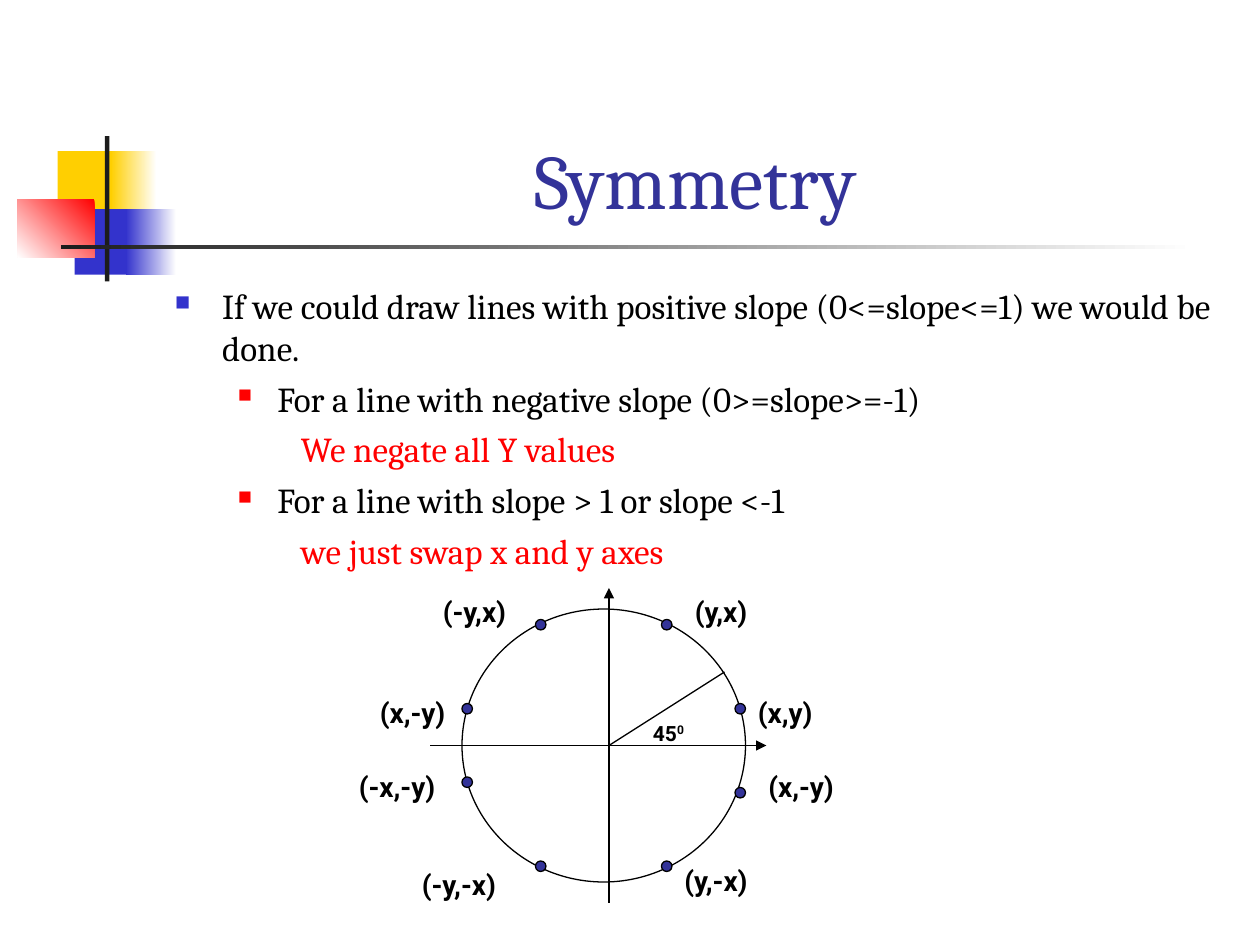
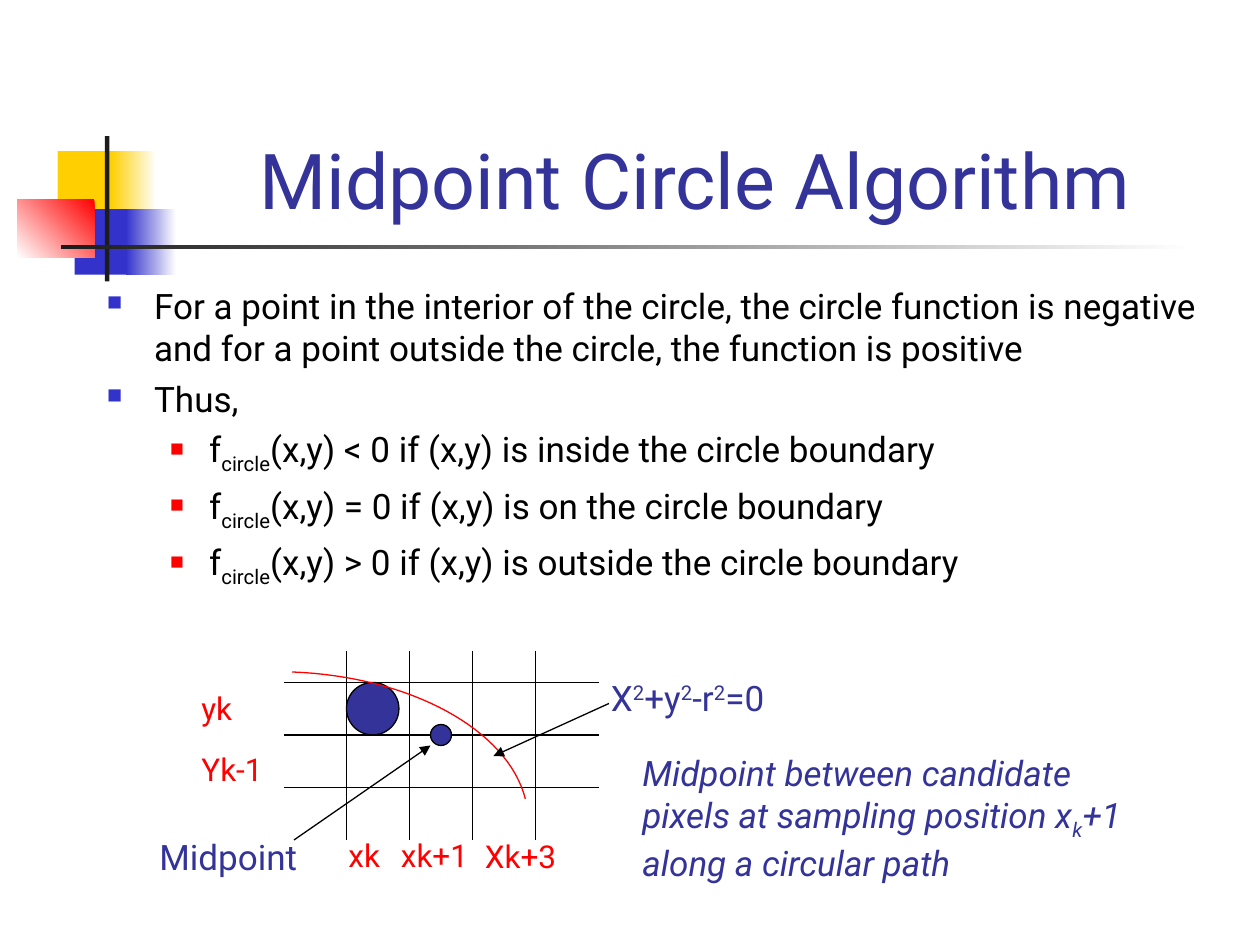
from lxml import etree
from pptx import Presentation
from pptx.dml.color import RGBColor
from pptx.enum.shapes import MSO_CONNECTOR, MSO_SHAPE
from pptx.enum.text import MSO_ANCHOR, MSO_AUTO_SIZE, PP_ALIGN
from pptx.oxml.ns import qn
from pptx.util import Pt

RECT, OVAL, DOT = MSO_SHAPE.RECTANGLE, MSO_SHAPE.OVAL, MSO_SHAPE.FLOWCHART_CONNECTOR
STRAIGHT = MSO_CONNECTOR.STRAIGHT
TOP, BOTTOM = MSO_ANCHOR.TOP, MSO_ANCHOR.BOTTOM
LEFT, CENTER = PP_ALIGN.LEFT, PP_ALIGN.CENTER
FIT_TEXT, FIXED = MSO_AUTO_SIZE.SHAPE_TO_FIT_TEXT, MSO_AUTO_SIZE.NONE

BLACK = RGBColor(0, 0, 0)
WHITE = RGBColor(0xFF, 0xFF, 0xFF)
RED = RGBColor(0xFF, 0, 0)
YELLOW = RGBColor(0xFF, 0xCF, 0x01)
BLUE = RGBColor(0x33, 0x33, 0xCC)
NAVY = RGBColor(0x33, 0x33, 0x99)
CHARCOAL = RGBColor(0x1C, 0x1C, 0x1C)

SERIF, SANS = "Cambria", "Roboto"
HAIRLINE = 0.75
SUB, SUPER = -25, 30

TITLE_BOX = (90.7, 16.6, 613.4, 115.2)
# Level: left margin, first-line indent, bullet colour, bullet size in percent
LEVELS = [(27, -27, BLUE, 60), (58.5, -22.5, RED, 55), (90, -18, None, None)]


def set_format(target, values):
    for attribute, value in values.items():
        setattr(target, attribute, value)


def paint(shape, fill=None, line=None):
    shape.shadow.inherit = False
    if fill is None:
        shape.fill.background()
    else:
        shape.fill.solid()
        shape.fill.fore_color.rgb = fill
    if line is None:
        shape.line.fill.background()
    else:
        shape.line.color.rgb = line
        shape.line.width = Pt(HAIRLINE)


def add_preset(slide, preset, box, fill=None, line=None):
    shape = slide.shapes.add_shape(preset, *map(Pt, box))
    paint(shape, fill, line)
    return shape


def add_gradient(slide, box, colours, angle):
    """Draw a rectangle fading between two colours; angle is counter-clockwise."""
    shape = add_preset(slide, RECT, box)
    shape.fill.gradient()
    shape.fill.gradient_angle = angle
    for stop, colour in zip(shape.fill.gradient_stops, colours):
        stop.color.rgb = colour


def add_line(slide, start, end, arrow=False):
    line = slide.shapes.add_connector(STRAIGHT, *map(Pt, (*start, *end)))
    line.line.color.rgb = BLACK
    line.line.width = Pt(HAIRLINE)
    if arrow:
        etree.SubElement(line.line._get_or_add_ln(), qn("a:tailEnd"), type="triangle")
    etree.SubElement(line._element.spPr, qn("a:effectLst"))


def add_runs(paragraph, content, colour, font):
    """Content is a string, or a list of strings and (string, baseline) pairs."""
    for part in [content] if isinstance(content, str) else content:
        text, baseline = (part, 0) if isinstance(part, str) else part
        run = paragraph.add_run()
        run.text = text
        set_format(run.font, font)
        run.font.color.rgb = colour
        if baseline:
            run._r.get_or_add_rPr().set("baseline", str(baseline * 1000))


def add_frame(slide, box, anchor=TOP, auto_size=FIXED):
    frame = slide.shapes.add_textbox(*map(Pt, box)).text_frame
    set_format(frame, {"word_wrap": True, "vertical_anchor": anchor, "auto_size": auto_size})
    return frame


def add_label(slide, place, width, content, colour, size, **style):
    frame = add_frame(slide, (*place, width, 1.2 * size + 7.2), auto_size=FIT_TEXT)
    font = {"name": SANS, "size": Pt(size), **style}
    add_runs(frame.paragraphs[0], content, colour, font)


def add_emblem(slide, left, top):
    """Coloured squares with the crossing bars that mark the title line."""
    def at(x, y, width, height):
        return left + x, top + y, width, height

    add_preset(slide, RECT, at(23, 8.5, 35, 37.4), YELLOW)
    add_gradient(slide, at(53.4, 8.5, 26, 37.4), (WHITE, YELLOW), 180)
    add_preset(slide, RECT, at(32.7, 41.7, 33, 37.4), BLUE)
    add_gradient(slide, at(62, 41.7, 28.8, 37.4), (WHITE, BLUE), 180)
    add_gradient(slide, at(0, 36, 44, 33.3), (RED, WHITE), 225)
    add_preset(slide, RECT, at(50, 0, 2.5, 83), CHARCOAL)
    add_gradient(slide, at(24.8, 62.2, 648, 2.5), (WHITE, CHARCOAL), 180)


def add_title(slide, title, font_name):
    title_line = add_frame(slide, TITLE_BOX, BOTTOM).paragraphs[0]
    title_line.alignment = CENTER
    add_runs(title_line, title, NAVY, {"name": font_name, "size": Pt(44)})


def set_level(paragraph, level):
    margin, indent, colour, percent = LEVELS[level]
    properties = paragraph._p.get_or_add_pPr()
    properties.set("marL", str(Pt(margin)))
    properties.set("indent", str(Pt(indent)))
    if colour is None:
        etree.SubElement(properties, qn("a:buNone"))
    else:
        bullet_colour = etree.SubElement(properties, qn("a:buClr"))
        etree.SubElement(bullet_colour, qn("a:srgbClr"), val=str(colour))
        etree.SubElement(properties, qn("a:buSzPct"), val=str(percent * 1000))
        etree.SubElement(properties, qn("a:buChar"), char="■")
    set_format(paragraph, {"level": level, "alignment": LEFT})


def add_body(slide, box, points, font_name):
    """Points are (level, content); the third level is a red remark."""
    frame = add_frame(slide, box)
    for number, (level, content) in enumerate(points):
        paragraph = frame.add_paragraph() if number else frame.paragraphs[0]
        set_level(paragraph, level)
        if number:
            paragraph.space_before = Pt(5)
        colour = RED if level == 2 else BLACK
        add_runs(paragraph, content, colour, {"name": font_name, "size": Pt(20)})


def add_content_slide(deck, title, body_box, points, font_name):
    slide = deck.slides.add_slide(deck.slide_layouts[6])
    add_emblem(slide, 10, 77.8)
    add_title(slide, title, font_name)
    add_body(slide, body_box, points, font_name)
    return slide


def add_symmetry_diagram(slide, left, top, width, height):
    """Circle with eight mirrored points; the axes span the box."""
    def at(x, y):
        return left + x, top + y

    origin_x, origin_y = 102, height / 2
    add_preset(slide, OVAL, (*at(18, 12), 162, 156), line=BLACK)
    add_line(slide, at(origin_x, height), at(origin_x, 0), arrow=True)
    add_line(slide, at(0, origin_y), at(width, origin_y), arrow=True)
    add_line(slide, at(origin_x, origin_y), at(168, 48))
    add_label(slide, at(120, 72), 48, ["45", ("0", SUPER)], BLACK, 12, bold=True)

    mirrored_points = [
        ("(y,x)", (132, 18), (144, 0)),
        ("(x,y)", (174, 66), (180, 58)),
        ("(x,-y)", (174, 114), (186, 100)),
        ("(y,-x)", (132, 156), (138, 154)),
        ("(-y,x)", (60, 18), (0, 0)),
        ("(x,-y)", (18, 66), (-36, 58)),
        ("(-x,-y)", (18, 108), (-48, 100)),
        ("(-y,-x)", (60, 156), (-12, 156)),
    ]
    for coordinates, dot, label in mirrored_points:
        add_preset(slide, DOT, (*at(*dot), 6, 6), NAVY, BLACK)
        add_label(slide, at(*label), 108, coordinates, BLACK, 16, bold=True)


def bezier(controls, steps=32):
    """Points along a cubic curve."""
    for step in range(steps + 1):
        t = step / steps
        weights = ((1 - t) ** 3, 3 * t * (1 - t) ** 2, 3 * t * t * (1 - t), t ** 3)
        yield tuple(sum(w * c for w, c in zip(weights, axis)) for axis in zip(*controls))


def add_arc(slide, controls):
    start, *rest = [(Pt(x), Pt(y)) for x, y in bezier(controls)]
    builder = slide.shapes.build_freeform(*start)
    builder.add_line_segments(rest, close=False)
    paint(builder.convert_to_shape(), line=RED)


def add_midpoint_diagram(slide, left, top, width, height):
    """Pixel grid filling the box, with the arc, midpoint and captions."""
    def at(x, y):
        return left + x, top + y

    for column in range(4):
        x = 36 * (column + 1)
        add_line(slide, at(x, 0), at(x, height))
    for row in range(3):
        y = 18 + 30 * row
        add_line(slide, at(0, y), at(width, y))

    add_preset(slide, DOT, (*at(36, 18), 30, 30), NAVY, BLACK)
    add_arc(slide, [at(5, 12), at(72.7, 14.6), at(128.2, 45), at(138.2, 84.5)])

    pixel_labels = [
        ("yk", (-54, 18), 36),
        ("Yk-1", (-54, 53), 66),
        ("xk", (30, 102), 60),
        ("xk+1", (60, 102), 60),
        ("Xk+3", (108, 103), 78),
    ]
    for text, place, label_width in pixel_labels:
        add_label(slide, at(*place), label_width, text, RED, 18)

    add_preset(slide, DOT, (*at(84, 42), 12, 12), NAVY, BLACK)
    add_line(slide, at(6, height), at(84, 54), arrow=True)
    add_label(slide, at(-78, 102), 96, "Midpoint", NAVY, 20)

    add_line(slide, at(186, 30), at(120, 60), arrow=True)
    equation = ["X", ("2", SUPER), "+y", ("2", SUPER), "-r", ("2", SUPER), "=0"]
    add_label(slide, at(180, 11), 156, equation, NAVY, 20)
    explanation = ["Midpoint between candidate pixels at sampling position x",
                   ("k", SUB), "+1 along a circular path"]
    add_label(slide, at(198, 54), 288, explanation, NAVY, 20, italic=True)


def main():
    deck = Presentation()
    set_format(deck, {"slide_width": Pt(720), "slide_height": Pt(540)})

    symmetry_points = [
        (0, "If we could draw lines with positive slope (0<=slope<=1) we would be done."),
        (1, "For a line with negative slope (0>=slope>=-1)"),
        (2, "We negate all Y values"),
        (1, "For a line with slope > 1 or slope <-1"),
        (2, "we just swap x and y axes"),
    ]
    symmetry = add_content_slide(deck, "Symmetry", (92.9, 159, 612, 324),
                                 symmetry_points, SERIF)
    add_symmetry_diagram(symmetry, 246, 336, 192, 180)

    midpoint_points = [
        (0, "For a point in the interior of the circle, the circle function is negative "
            "and for a point outside the circle, the function is positive"),
        (0, "Thus,"),
    ]
    for sign, position in (("<", "inside"), ("=", "on"), (">", "outside")):
        condition = f"(x,y) {sign} 0 if (x,y) is {position} the circle boundary"
        midpoint_points.append((1, ["f", ("circle", SUB), condition]))
    midpoint = add_content_slide(deck, "Midpoint Circle Algorithm", (54, 159, 651, 363),
                                 midpoint_points, SANS)
    add_midpoint_diagram(midpoint, 162, 372, 180, 108)

    deck.save("out.pptx")


if __name__ == "__main__":
    main()
